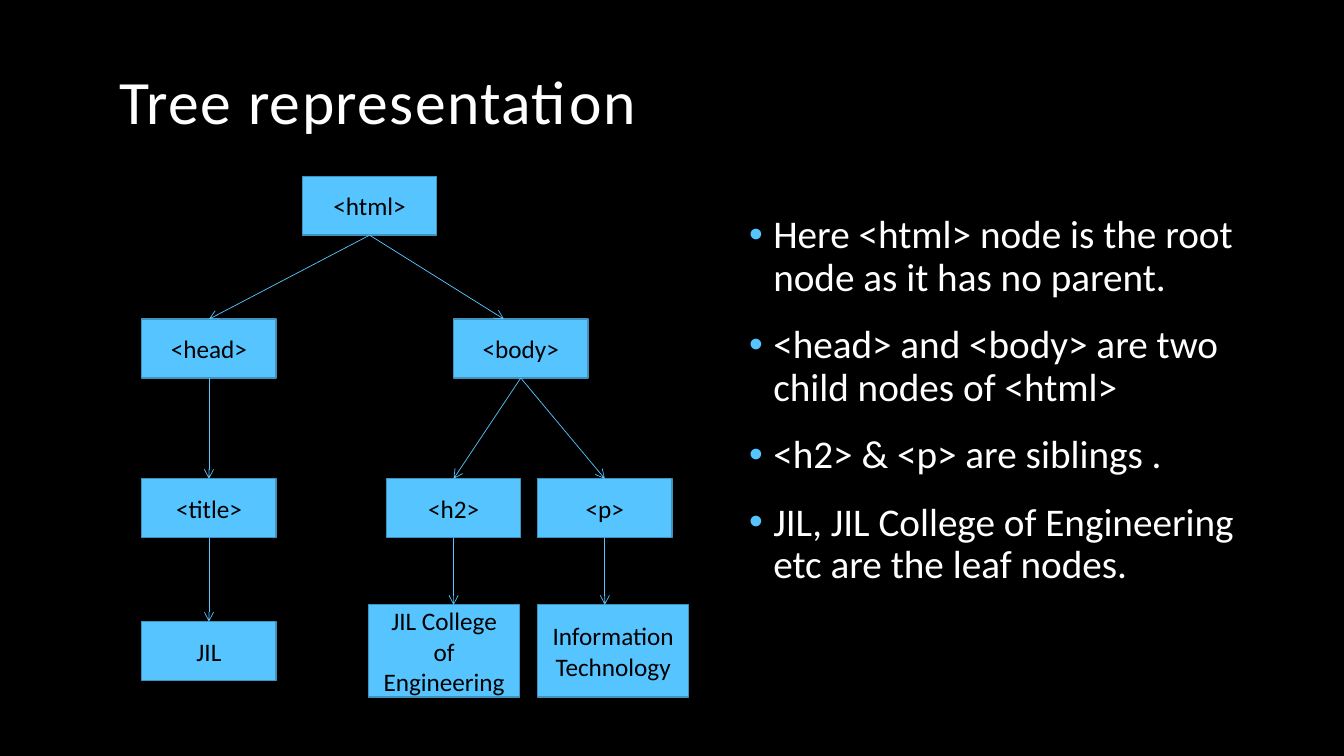
from lxml import etree
from pptx import Presentation
from pptx.dml.color import RGBColor
from pptx.enum import shapes, text
from pptx.oxml import ns
from pptx.util import Pt

# Content: lengths in px, 96 to the inch
SLIDE_SIZE = (1280, 720)
TITLE = "Tree representation"
TITLE_BOX = (104, 32, 960, 104)
BULLETS = [
    "Here <html> node is the root node as it has no parent.",
    "<head> and <body> are two child nodes of <html>",
    "<h2> & <p> are siblings .",
    "JIL, JIL College of Engineering etc are the leaf nodes.",
]
BULLET_BOX = (704, 200, 504, 432)
BULLET_INDENT = 23

TAG, LEAF = (128, 56), (144, 88)
NODES = {  # name: (label, left, top, size)
    "html": ("<html>", 288, 168, TAG),
    "head": ("<head>", 135, 304, TAG),
    "body": ("<body>", 432, 304, TAG),
    "title": ("<title>", 135, 456, TAG),
    "h2": ("<h2>", 368, 456, TAG),
    "p": ("<p>", 512, 456, TAG),
    "title text": ("JIL", 135, 592, TAG),
    "h2 text": ("JIL College of Engineering", 351, 576, LEAF),
    "p text": ("Information Technology", 512, 576, LEAF),
}
EDGES = [  # parent, child, shift of the arrowhead from the child's centre
    ("html", "head", 0), ("html", "body", -16), ("head", "title", 0),
    ("body", "h2", 0), ("body", "p", 0), ("title", "title text", 0),
    ("h2", "h2 text", 9), ("p", "p text", -8),
]

BLACK, WHITE, SKY, EDGE = "000000", "FFFFFF", "56C5FF", "4092BD"
TITLE_FONT = {"size": Pt(44), "name": "Calibri"}
BULLET_FONT = {"size": Pt(28), "name": "Calibri"}
NODE_FONT = {"size": Pt(18), "name": "Calibri"}
BULLET_FORMAT = {"line_spacing": 0.9, "space_before": Pt(18)}


def px(length):
    return length * 9525


def color(value):
    return RGBColor.from_string(value)


def apply(target, values):
    for name, value in values.items():
        setattr(target, name, value)


def add_run(paragraph, words, font, hex_color):
    run = paragraph.add_run()
    run.text = words
    apply(run.font, font)
    run.font.color.rgb = color(hex_color)
    return run


def add_child(parent, tag, **attributes):
    return etree.SubElement(parent, ns.qn(tag), attributes)


def add_text_frame(slide, box, anchor):
    frame = slide.shapes.add_textbox(*map(px, box)).text_frame
    apply(frame, {"word_wrap": True, "vertical_anchor": anchor})
    return frame


def add_title(slide):
    frame = add_text_frame(slide, TITLE_BOX, text.MSO_ANCHOR.BOTTOM)
    paragraph = frame.paragraphs[0]
    paragraph.line_spacing = 0.9
    run = add_run(paragraph, TITLE, TITLE_FONT, WHITE)
    run.font._element.set("spc", "100")


def add_bullets(slide):
    frame = add_text_frame(slide, BULLET_BOX, text.MSO_ANCHOR.TOP)
    for index, words in enumerate(BULLETS):
        paragraph = frame.add_paragraph() if index else frame.paragraphs[0]
        apply(paragraph, BULLET_FORMAT)
        properties = paragraph._p.get_or_add_pPr()
        properties.set("marL", str(px(BULLET_INDENT)))
        properties.set("indent", str(-px(BULLET_INDENT)))
        add_child(add_child(properties, "a:buClr"), "a:srgbClr", val=SKY)
        add_child(properties, "a:buFont", typeface="Arial")
        add_child(properties, "a:buChar", char="•")
        add_run(paragraph, words, BULLET_FONT, WHITE)


def add_node(slide, label, left, top, size):
    shape = slide.shapes.add_shape(
        shapes.MSO_SHAPE.RECTANGLE, *map(px, (left, top, *size)))
    shape.shadow.inherit = False
    shape.fill.solid()
    shape.fill.fore_color.rgb = color(SKY)
    shape.line.color.rgb = color(EDGE)
    shape.line.width = Pt(1)
    frame = shape.text_frame
    apply(frame, {"word_wrap": True, "vertical_anchor": text.MSO_ANCHOR.MIDDLE})
    paragraph = frame.paragraphs[0]
    paragraph.alignment = text.PP_ALIGN.CENTER
    add_run(paragraph, label, NODE_FONT, BLACK)


def add_arrow(slide, parent, child, shift):
    _, left, top, (width, height) = NODES[parent]
    _, child_left, child_top, (child_width, _) = NODES[child]
    start = (left + width // 2, top + height)
    end = (child_left + child_width // 2 + shift, child_top)
    arrow = slide.shapes.add_connector(
        shapes.MSO_CONNECTOR.STRAIGHT, *map(px, start + end))
    arrow.line.color.rgb = color(SKY)
    arrow.line.width = Pt(0.5)
    add_child(arrow.line._get_or_add_ln(), "a:tailEnd", type="arrow")
    add_child(arrow._element.spPr, "a:effectLst")


def main():
    presentation = Presentation()
    presentation.slide_width, presentation.slide_height = map(px, SLIDE_SIZE)
    slide = presentation.slides.add_slide(presentation.slide_layouts[6])
    slide.background.fill.solid()
    slide.background.fill.fore_color.rgb = color(BLACK)

    # Text
    add_title(slide)
    add_bullets(slide)

    # Tree
    for node in NODES.values():
        add_node(slide, *node)
    for edge in EDGES:
        add_arrow(slide, *edge)

    presentation.save("out.pptx")


if __name__ == "__main__":
    main()
